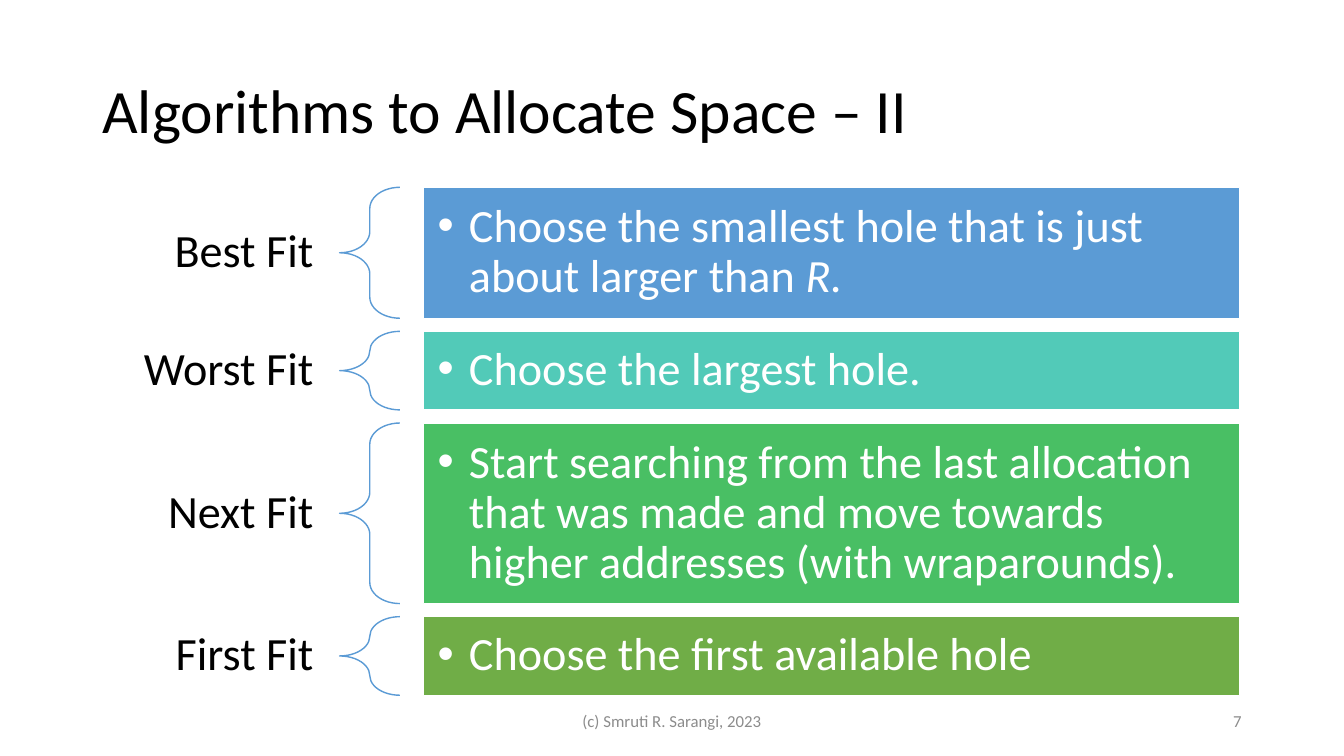
import pptx
import pptx.util
import pptx.dml.color
import pptx.enum.shapes
import pptx.enum.text
import lxml.etree

Cm, Pt = pptx.util.Cm, pptx.util.Pt
KIND = pptx.enum.shapes.MSO_SHAPE
ALIGN = pptx.enum.text.PP_ALIGN

# Content
TITLE = "Algorithms to Allocate Space – II"
FOOT = "(c) Smruti R. Sarangi, 2023"
PAGE = "7"
# Label, rule as (text, italic) runs, bar colour, bar height in cm
FITS = [
    ("Best Fit", [("Choose the smallest hole that is just about larger than ", False),
                  ("R.", True)], "5B9BD5", 3.3),
    ("Worst Fit", [("Choose the largest hole.", False)], "52CAB8", 1.98),
    ("Next Fit", [("Start searching from the last allocation that was made and move "
                   "towards higher addresses (with wraparounds).", False)], "49BF64", 4.55),
    ("First Fit", [("Choose the first available hole", False)], "70AD47", 1.98),
]
THEME = {"font": "Calibri", "ink": "000000", "paper": "FFFFFF", "grey": "8C8C8C",
         "brace": "5B9BD5", "title": 44, "body": 33, "small": 12}

# Layout in cm
TOP, GAP = 4.72, 0.33
LABEL_X, LABEL_W, LABEL_H = 0.99, 7.57, 1.8
BRACE_X, BRACE_W = 8.56, 1.52
BAR_X, BAR_W = 10.67, 20.57
INDENT = 0.79

deck = pptx.Presentation()
deck.slide_width, deck.slide_height = Cm(33.87), Cm(19.05)
slide = deck.slides.add_slide(deck.slide_layouts[6])


def color(code):
    return pptx.dml.color.RGBColor.from_string(code)


def write(shape, runs, size="body", ink="ink", align=ALIGN.LEFT, pad=(0.25, 0.13),
          space=None, bullet=False):
    """Fill a shape with one paragraph of (text, italic) runs."""
    frame = shape.text_frame
    frame.word_wrap = True
    frame.vertical_anchor = pptx.enum.text.MSO_ANCHOR.MIDDLE
    frame.margin_left = frame.margin_right = Cm(pad[0])
    frame.margin_top = frame.margin_bottom = Cm(pad[1])
    para = frame.paragraphs[0]
    if bullet:
        props = para._p.get_or_add_pPr()
        props.set("marL", str(Cm(INDENT)))
        props.set("indent", str(-Cm(INDENT)))
        for tag, key, value in (("a:buFont", "typeface", "Arial"), ("a:buChar", "char", "•")):
            lxml.etree.SubElement(props, pptx.oxml.ns.qn(tag)).set(key, value)
    para.alignment = align
    if space:
        para.line_spacing = space
    for text, italic in runs:
        run = para.add_run()
        run.text = text
        run.font.name = THEME["font"]
        run.font.size = Pt(THEME[size])
        run.font.color.rgb = color(THEME[ink])
        if italic:
            run.font.italic = True


def label(text, x, y, w, h, **style):
    box = slide.shapes.add_textbox(Cm(x), Cm(y), Cm(w), Cm(h))
    write(box, [(text, False)], **style)


def draw(kind, x, y, w, h, line, fill=None):
    shape = slide.shapes.add_shape(kind, Cm(x), Cm(y), Cm(w), Cm(h))
    shape.shadow.inherit = False
    shape.line.color.rgb = color(THEME[line])
    shape.line.width = Pt(1)
    if fill:
        shape.fill.solid()
        shape.fill.fore_color.rgb = color(fill)
    else:
        shape.fill.background()
    return shape


# Title and footer
label(TITLE, 2.33, 1.01, 29.21, 3.68, size="title", space=0.9)
label(FOOT, 11.22, 17.66, 11.43, 1.01, size="small", ink="grey", align=ALIGN.CENTER)
label(PAGE, 23.92, 17.66, 7.62, 1.01, size="small", ink="grey", align=ALIGN.RIGHT)

# One row per algorithm: label, brace, bar
y = TOP
for name, rule, fill, high in FITS:
    label(name, LABEL_X, y + (high - LABEL_H) / 2, LABEL_W, LABEL_H,
          align=ALIGN.RIGHT, pad=(0.66, 0.23), space=0.9)
    brace = draw(KIND.LEFT_BRACE, BRACE_X, y, BRACE_W, high, "brace")
    brace.adjustments[0] = 0.35
    bar = draw(KIND.RECTANGLE, BAR_X, y, BAR_W, high, "paper", fill)
    write(bar, rule, ink="paper", pad=(0.36, 0.36), space=0.9, bullet=True)
    y += high + GAP

deck.save("out.pptx")
